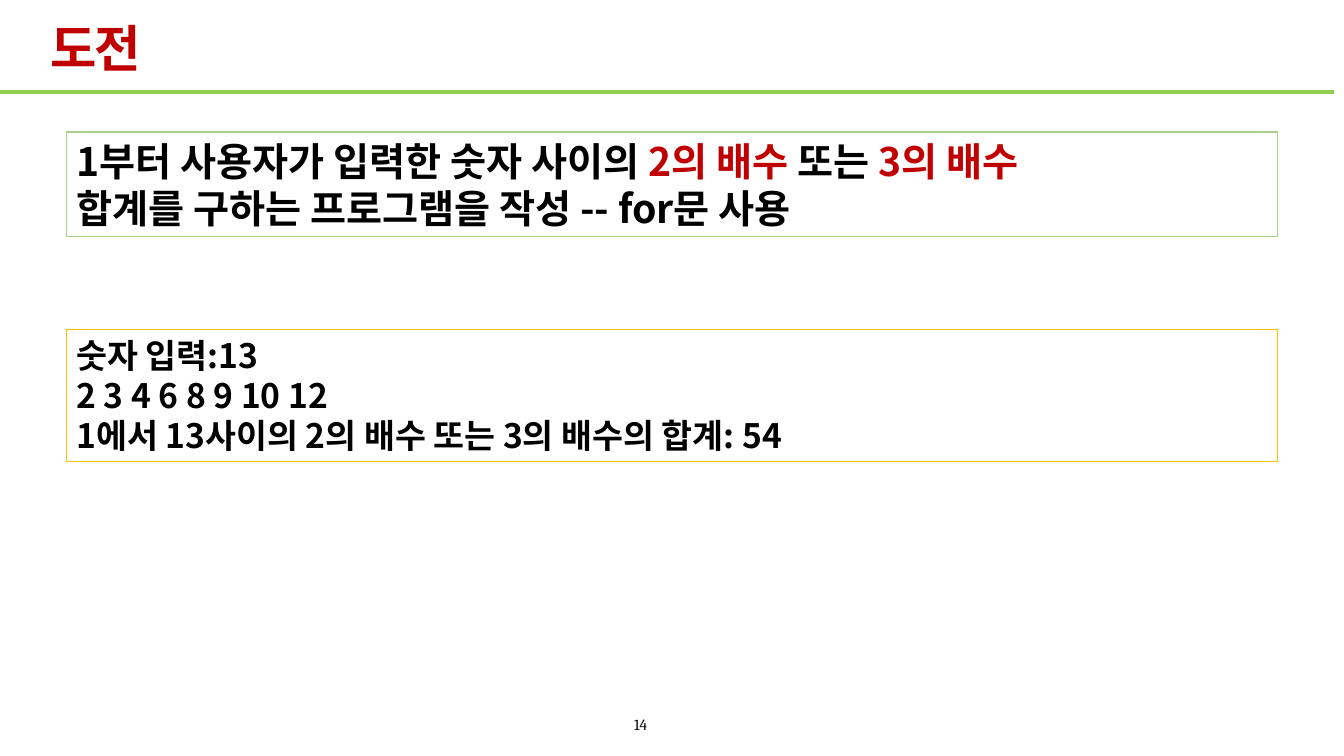
from lxml.etree import SubElement
from pptx import Presentation
from pptx.dml.color import RGBColor
from pptx.enum.shapes import MSO_CONNECTOR, MSO_SHAPE
from pptx.enum.text import MSO_ANCHOR, MSO_AUTO_SIZE, PP_ALIGN
from pptx.oxml.ns import qn
from pptx.util import Inches, Pt

KOREAN_FONT = "Noto Sans CJK KR"
NUMBER_FONT = "Cambria"
BLACK = "000000"
RED = "C00000"
LIME = "92D050"
GREEN = "A9D18E"
GOLD = "FFC000"


def color(value):
    return RGBColor.from_string(value)


class SlideBuilder:
    def __init__(self, presentation):
        self.slide = presentation.slides.add_slide(presentation.slide_layouts[5])

    def add_run(self, paragraph, text, size, fill=BLACK, font=KOREAN_FONT, bold=True):
        run = paragraph.add_run()
        run.text = text
        run.font.size = Pt(size)
        run.font.bold = bold
        run.font.name = font
        run.font.color.rgb = color(fill)
        properties = run.font._element
        SubElement(properties, qn("a:ea")).set("typeface", font)
        return properties

    def title(self, text):
        shape = self.slide.shapes.title
        shape.left, shape.top = Inches(0.4), Inches(0.21)
        shape.width, shape.height = Inches(7.43), Inches(0.59)
        frame = shape.text_frame
        frame.auto_size = MSO_AUTO_SIZE.NONE
        frame.vertical_anchor = MSO_ANCHOR.MIDDLE
        paragraph = frame.paragraphs[0]
        paragraph.alignment = PP_ALIGN.LEFT
        paragraph.line_spacing = 0.9
        self.add_run(paragraph, text, 36, RED).set("spc", "-150")

    def rule(self, top, right):
        connector = self.slide.shapes.add_connector(
            MSO_CONNECTOR.STRAIGHT, 0, Inches(top), Inches(right), Inches(top))
        connector.line.color.rgb = color(LIME)
        connector.line.width = Pt(3)
        SubElement(connector._element.spPr, qn("a:effectLst"))

    def box(self, top, height, outline, size, lines):
        shape = self.slide.shapes.add_shape(
            MSO_SHAPE.RECTANGLE, Inches(0.66), Inches(top), Inches(12.01), Inches(height))
        shape.shadow.inherit = False
        shape.fill.background()
        shape.line.color.rgb = color(outline)
        shape.line.width = Pt(0.75)
        frame = shape.text_frame
        frame.word_wrap = True
        frame.auto_size = MSO_AUTO_SIZE.SHAPE_TO_FIT_TEXT
        frame.vertical_anchor = MSO_ANCHOR.TOP
        for index, line in enumerate(lines):
            paragraph = frame.add_paragraph() if index else frame.paragraphs[0]
            paragraph.alignment = PP_ALIGN.LEFT
            for text, fill in line:
                self.add_run(paragraph, text, size, fill)

    def page_number(self, number):
        shape = self.slide.shapes.add_textbox(
            Inches(6.08), Inches(7.01), Inches(0.55), Inches(0.36))
        frame = shape.text_frame
        frame.word_wrap = True
        frame.vertical_anchor = MSO_ANCHOR.MIDDLE
        paragraph = frame.paragraphs[0]
        paragraph.alignment = PP_ALIGN.CENTER
        self.add_run(paragraph, number, 11, font=NUMBER_FONT, bold=False)


def main():
    presentation = Presentation()
    presentation.slide_width = Inches(13.33)
    presentation.slide_height = Inches(7.5)
    builder = SlideBuilder(presentation)
    builder.rule(0.91, 13.23)
    builder.page_number("14")
    builder.title("도전")
    builder.box(1.31, 1.04, GREEN, 28, [
        [("1부터 사용자가 입력한 숫자 사이의 ", BLACK), ("2의 배수 ", RED),
         ("또는 ", BLACK), ("3의 배수", RED)],
        [("합계를 구하는 프로그램을 작성 -- for문 사용", BLACK)],
    ])
    builder.box(3.27, 1.31, GOLD, 24, [
        [("숫자 입력:13", BLACK)],
        [("2 3 4 6 8 9 10 12", BLACK)],
        [("1에서 13사이의 2의 배수 또는 3의 배수의 합계: 54", BLACK)],
    ])
    presentation.save("out.pptx")


if __name__ == "__main__":
    main()
